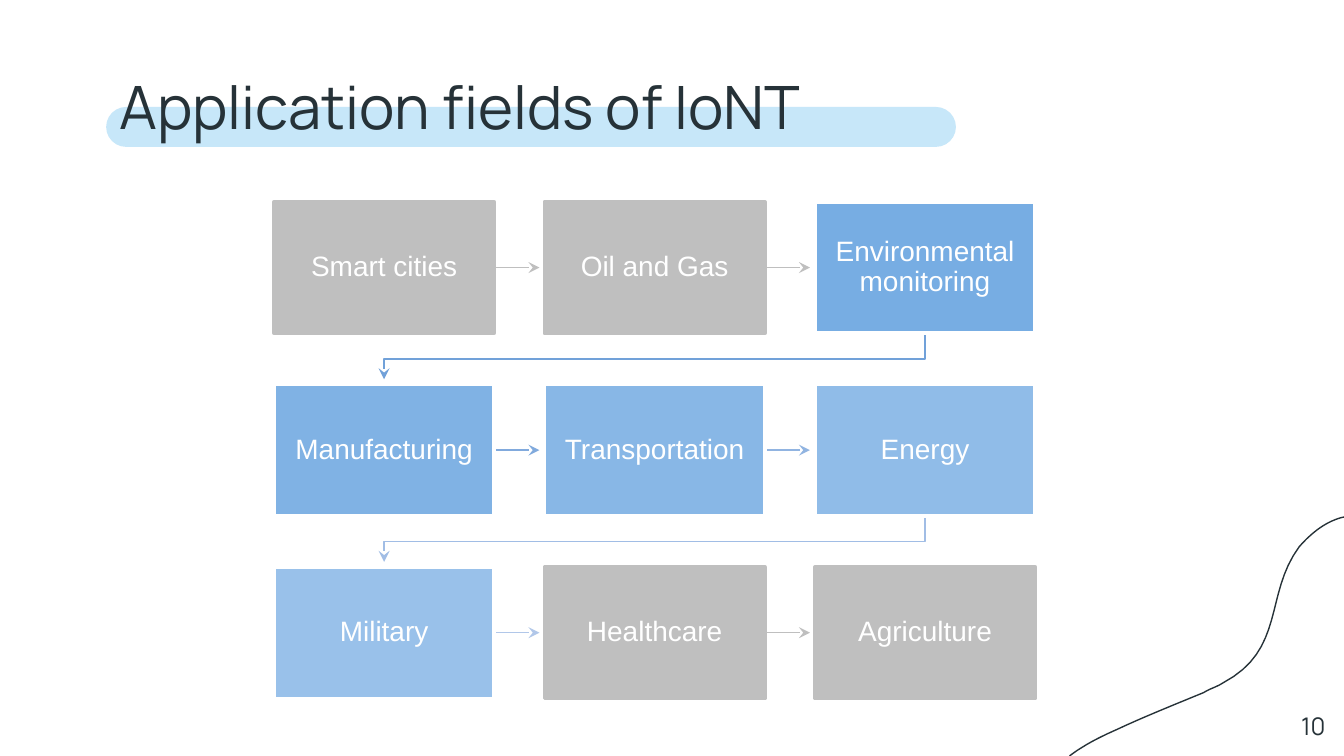
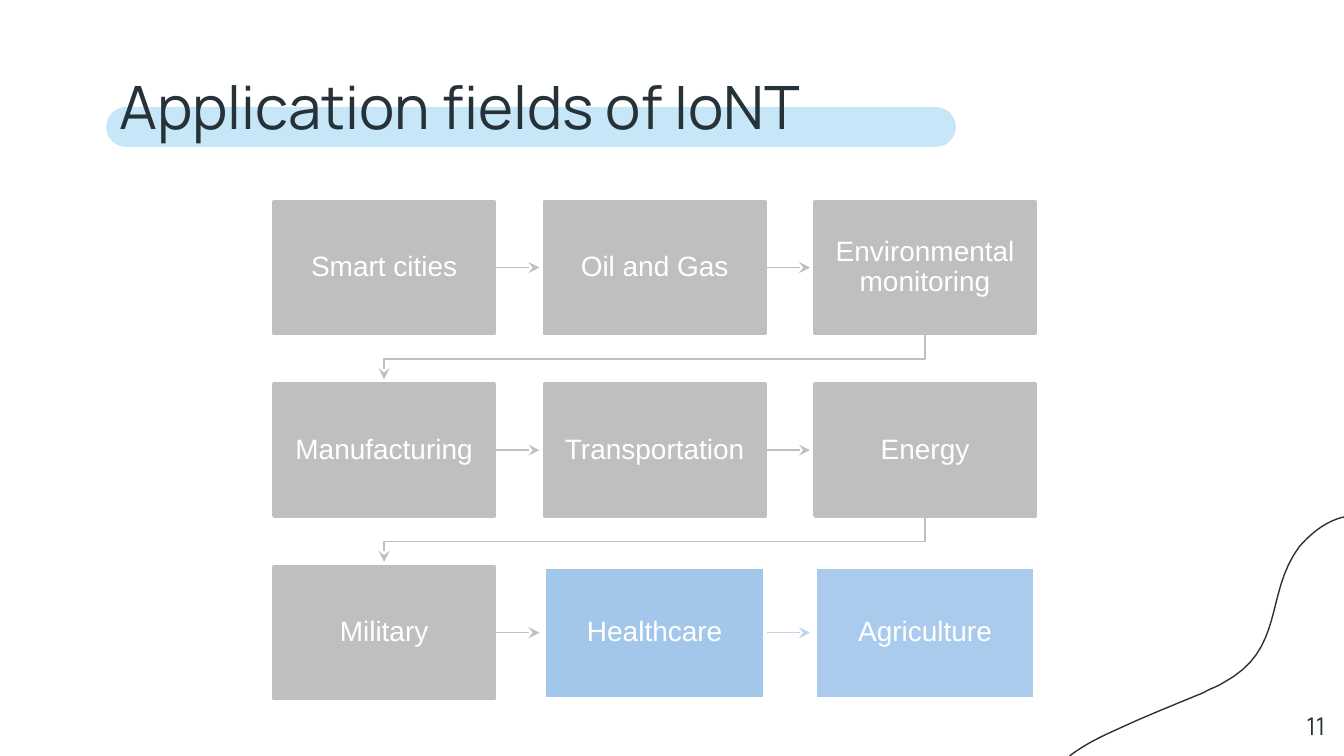
from dataclasses import dataclass

from lxml.etree import SubElement
from pptx import Presentation
from pptx.dml.color import RGBColor
from pptx.enum.shapes import MSO_CONNECTOR, MSO_SHAPE
from pptx.enum.text import MSO_ANCHOR, PP_ALIGN
from pptx.oxml.ns import qn
from pptx.util import Pt


@dataclass(frozen=True)
class Theme:
    ink: str = "263238"
    band: str = "C7E7F9"
    white: str = "FFFFFF"
    muted: str = "BFBFBF"
    accent: str = "5699DC"
    tints: tuple = ("71A1D9", "81AADD", "91B4E1", "A1BDE5", "B1C7E9", "C1D2ED")
    head: str = "Manrope"
    body: str = "Arial"
    title: float = 32
    label: float = 15
    number: float = 13
    thin: float = 0.75
    border: float = 2


THEME = Theme()
WIDTH, HEIGHT = 720, 405
TITLE = (56.9, 30.2, 607, 48.2)
GRID = (146.8, 108.1, 407.8, 266.1)
CURVE = (573, 277, 147, 128)
NUMBER = (673.9, 373.7, 43.2, 31)

FIELDS = (
    "Smart cities", "Oil and Gas", "Environmental monitoring",
    "Manufacturing", "Transportation", "Energy",
    "Military", "Healthcare", "Agriculture",
)
FIRST = 2  # first field that is ever lit; the blue fades from here on
COLS = 3
CELL = (118, 70.5)
REACH = 0.9  # share of the gap that an arrow spans

# Cubic pieces: two control points and an end, relative to CURVE
BENDS = (
    ((138, 2), (130, 8), (123, 16)),
    ((104, 42), (116, 71), (82, 89)),
    ((79, 91), (75, 92), (72, 94)),
    ((55, 101), (40, 107), (25, 114)),
    ((16, 118), (8, 122), (0, 128)),
)


def rgb(code):
    return RGBColor.from_string(code)


def points(*values):
    return [Pt(value) for value in values]


def write(shape, text, *, font, size, color, align=PP_ALIGN.LEFT,
          anchor=MSO_ANCHOR.TOP, inset=7.2, spacing=None):
    frame = shape.text_frame
    frame.word_wrap = True
    frame.vertical_anchor = anchor
    frame.margin_left = frame.margin_right = Pt(inset)
    frame.margin_top = frame.margin_bottom = Pt(inset)
    para = frame.paragraphs[0]
    para.alignment = align
    para.line_spacing = spacing
    run = para.add_run()
    run.text = text
    run.font.name = font
    run.font.size = Pt(size)
    run.font.color.rgb = rgb(color)


def block(slide, kind, box, fill, edge=None, alpha=None):
    shape = slide.shapes.add_shape(kind, *points(*box))
    shape.shadow.inherit = False
    shape.fill.solid()
    shape.fill.fore_color.rgb = rgb(fill)
    if alpha:
        color = shape.element.spPr.find(qn("a:solidFill"))[0]
        SubElement(color, qn("a:alpha"), val=str(alpha * 1000))
    if edge:
        shape.line.color.rgb = rgb(edge)
        shape.line.width = Pt(THEME.border)
    else:
        shape.line.fill.background()
    return shape


def stroke(shape, color):
    shape.line.color.rgb = rgb(color)
    shape.line.width = Pt(THEME.thin)


def trace(slide, spots, color):
    """Draw an open, unfilled outline through the spots."""
    start, *rest = [points(*spot) for spot in spots]
    pen = slide.shapes.build_freeform(*start)
    pen.add_line_segments(rest, close=False)
    shape = pen.convert_to_shape()
    shape.shadow.inherit = False
    shape.fill.background()
    stroke(shape, color)
    return shape


def arrow(slide, line):
    """Add an arrowhead and send the line behind the blocks."""
    SubElement(line.element.spPr.find(qn("a:ln")), qn("a:tailEnd"), type="stealth")
    slide.shapes.element.insert(2, line.element)


def link(slide, block_from, start, end, color):
    line = slide.shapes.add_connector(MSO_CONNECTOR.STRAIGHT, *points(*start, *end))
    line.begin_connect(block_from, 3)
    stroke(line, color)
    SubElement(line.element.spPr, qn("a:effectLst"))
    arrow(slide, line)


def header(slide, box, text):
    left, top, wide, high = box
    band = block(slide, MSO_SHAPE.ROUNDED_RECTANGLE,
                 (left, top + 27.1, 0.75 * wide, 21.4), THEME.band)
    band.adjustments[0] = 0.5
    write(slide.shapes.add_textbox(*points(*box)), text,
          font=THEME.head, size=THEME.title, color=THEME.ink)


def curve(slide, box):
    left, top, wide, _ = box
    steps = 16
    spots = [(wide, 0)]
    for one, two, end in BENDS:
        start = spots[-1]
        for step in range(1, steps + 1):
            t = step / steps
            u = 1 - t
            spots.append(tuple(
                u**3 * a + 3 * u * u * t * b + 3 * u * t * t * c + t**3 * d
                for a, b, c, d in zip(start, one, two, end)))
    trace(slide, [(left + x, top + y) for x, y in spots], THEME.ink)


def grid(slide, box, lit):
    """Chain the fields row by row; those in lit are blue."""
    left, top, wide, high = box
    w, h = CELL
    rows = len(FIELDS) // COLS
    gap_x = (wide - COLS * w) / (COLS - 1)
    gap_y = (high - rows * h) / (rows - 1)
    for i, name in enumerate(FIELDS):
        row, col = divmod(i, COLS)
        x, y = left + col * (w + gap_x), top + row * (h + gap_y)
        if i in lit:
            tint = THEME.tints[min(i - FIRST, len(THEME.tints) - 1)]
            look = (THEME.accent, THEME.white, 90 - 5 * i)
        else:
            tint = THEME.muted
            look = (THEME.muted, THEME.muted)
        cell = block(slide, MSO_SHAPE.RECTANGLE, (x, y, w, h), *look)
        write(cell, name, font=THEME.body, size=THEME.label, color=THEME.white,
              align=PP_ALIGN.CENTER, anchor=MSO_ANCHOR.MIDDLE, inset=8.6, spacing=0.9)
        if col < COLS - 1:
            mid = y + h / 2
            link(slide, cell, (x + w, mid), (x + w + REACH * gap_x, mid), tint)
        elif row < rows - 1:
            start, end = x + w / 2, left + w / 2
            low = y + h
            turn = low + gap_y / 2
            arrow(slide, trace(slide, [(start, low), (start, turn), (end, turn),
                                       (end, low + REACH * gap_y)], tint))


def footer(slide, box, number):
    write(slide.shapes.add_textbox(*points(*box)), str(number), font=THEME.head,
          size=THEME.number, color=THEME.ink, align=PP_ALIGN.RIGHT)


def page(deck, number, lit):
    slide = deck.slides.add_slide(deck.slide_layouts[6])
    header(slide, TITLE, "Application fields of IoNT")
    curve(slide, CURVE)
    grid(slide, GRID, lit)
    footer(slide, NUMBER, number)


def main():
    deck = Presentation()
    deck.slide_width, deck.slide_height = points(WIDTH, HEIGHT)
    page(deck, 10, range(2, 7))
    page(deck, 11, range(7, 9))
    deck.save("out.pptx")


if __name__ == "__main__":
    main()
